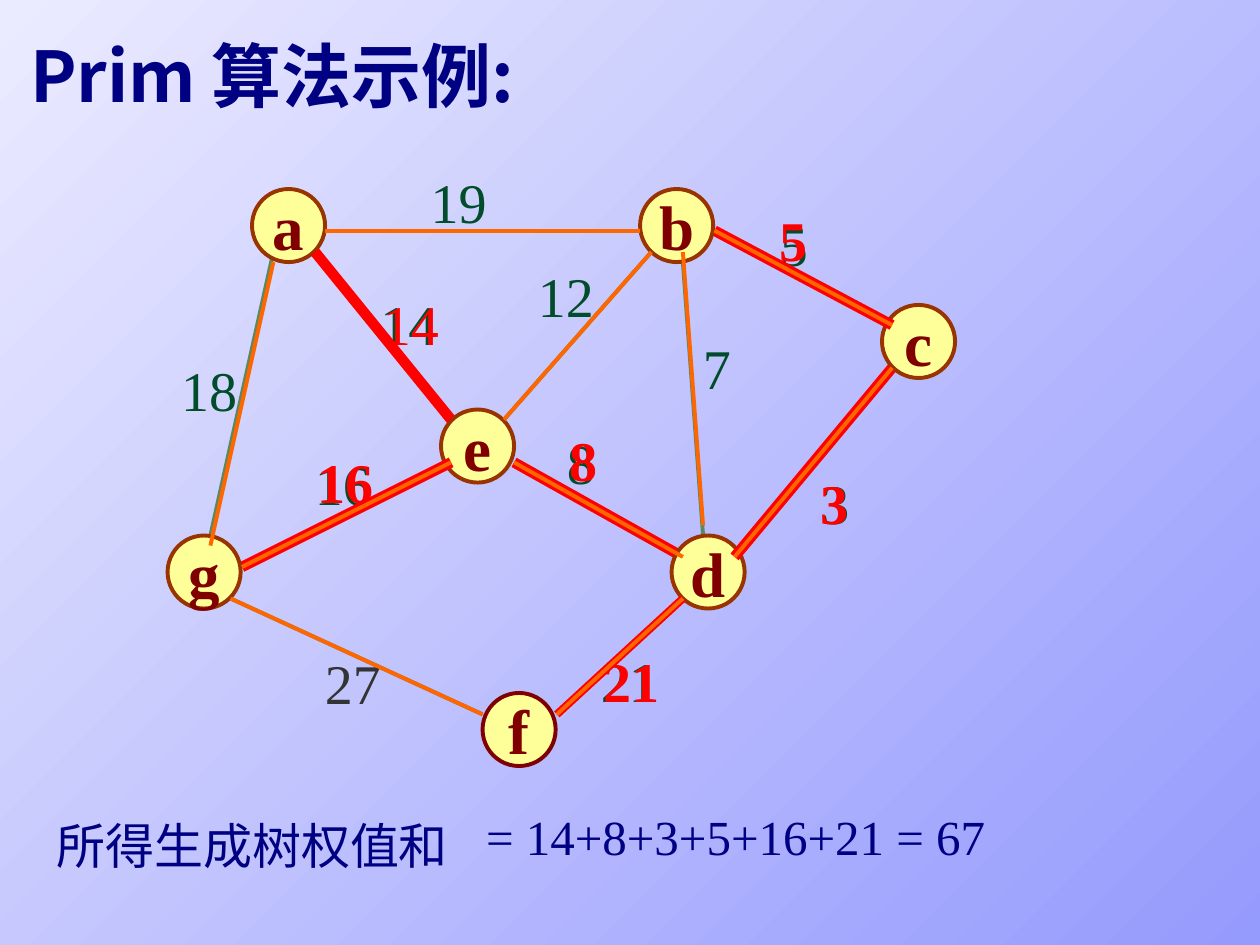
from lxml import etree
from pptx import Presentation
from pptx.dml.color import RGBColor
from pptx.enum import shapes, text
from pptx.oxml import ns
from pptx.util import Inches, Pt

SERIF, SANS = "Times New Roman", "Noto Sans CJK SC"
COLORS = {
    "light": "EBEBFF", "dark": "959AFD", "navy": "000082", "edge": "578963",
    "weight": "004C2B", "gray": "333333", "node": "FFFF99", "rim": "993300",
    "maroon": "800000", "tree": "FF0000", "orange": "FF6600",
}
NODE_SIZE = 0.58

TITLE = ("Prim 算法示例:", (0.14, 0.21, 4.69, 0.77))
CAPTIONS = [
    ("所得生成树权值和", (0.35, 6.42, 3.3, 0.57)),
    ("= 14+8+3+5+16+21 = 67", (3.76, 6.35, 4.16, 0.57)),
]
# edge: start, end, weight, label corner, label colour
EDGES = {
    "ab": ((2.58, 1.83), (5.08, 1.83), "19", (3.32, 1.28), "weight"),
    "ae": ((2.5, 2), (3.58, 3.33), "14", (2.92, 2.25), "weight"),
    "be": ((5.17, 2), (4, 3.33), "12", (4.17, 2.03), "weight"),
    "ag": ((2.17, 2), (1.67, 4.25), "18", (1.34, 2.77), "weight"),
    "ge": ((1.92, 4.5), (3.58, 3.67), "16", (2.4, 3.52), "weight"),
    "ed": ((4.08, 3.67), (5.42, 4.42), "8", (4.4, 3.35), "weight"),
    "bc": ((5.67, 1.83), (7.08, 2.58), "5", (6.09, 1.62), "weight"),
    "cd": ((7.08, 2.92), (5.83, 4.42), "3", (6.42, 3.67), "weight"),
    "bd": ((5.42, 2.08), (5.58, 4.25), "7", (5.48, 2.6), "weight"),
    "gf": ((1.83, 4.75), (3.83, 5.67), "27", (2.48, 5.1), "gray"),
    "df": ((5.42, 4.75), (4.42, 5.67), "21", (4.67, 5.08), "weight"),
}
# nodes in the order they join the tree: name, corner, rim, joining edge, its width
NODES = [
    ("a", (2, 1.5), "rim", None, 0),
    ("e", (3.5, 3.25), "rim", "ae", 6),
    ("d", (5.33, 4.25), "rim", "ed", 6),
    ("c", (7, 2.42), "rim", "cd", 6),
    ("b", (5.08, 1.5), "rim", "bc", 6),
    ("g", (1.33, 4.25), "rim", "ge", 6),
    ("f", (3.83, 5.5), "maroon", "df", 4.5),
]
# tree edge: label corner, bold
TREE_LABELS = {
    "ae": ((2.94, 2.25), False), "ed": ((4.42, 3.33), True),
    "bc": ((6.09, 1.58), True), "cd": ((6.41, 3.67), True),
    "ge": ((2.42, 3.5), True), "df": ((4.69, 5.08), True),
}
OVERLAY_SHIFT = {"ag": 0.08, "bd": -0.08}
OVERLAY_COLOR = {"ae": "tree"}


def rgb(name):
    return RGBColor.from_string(COLORS[name])


def write(shape, words, size, color, bold=False, font=SERIF, anchor=text.MSO_ANCHOR.TOP,
          align=text.PP_ALIGN.LEFT):
    frame = shape.text_frame
    frame.word_wrap = False
    frame.auto_size = text.MSO_AUTO_SIZE.NONE
    frame.vertical_anchor = anchor
    frame.margin_left = frame.margin_right = Inches(0.1)
    frame.margin_top = frame.margin_bottom = Inches(0.05)
    para = frame.paragraphs[0]
    para.text = words
    para.alignment = align
    para.font.size, para.font.bold, para.font.name = Pt(size), bold, font
    para.font.color.rgb = rgb(color)
    properties = para._p.pPr.find(ns.qn("a:defRPr"))
    etree.SubElement(properties, ns.qn("a:ea"), typeface=SANS)


def add_text(slide, words, place, size, color, bold=False):
    box = slide.shapes.add_textbox(*map(Inches, place))
    write(box, words, size, color, bold)


def add_weight(slide, words, corner, color, bold=False):
    add_text(slide, words, (*corner, 0.2 + 0.22 * len(words), 0.64), 32, color, bold)


def add_edge(slide, edge, color, width=2.25, shift=0):
    (x1, y1), (x2, y2) = EDGES[edge][:2]
    line = slide.shapes.add_connector(
        shapes.MSO_CONNECTOR.STRAIGHT,
        *map(Inches, (x1, y1 + shift, x2, y2 + shift)))
    line.line.color.rgb = rgb(color)
    line.line.width = Pt(width)
    etree.SubElement(line._element.spPr, ns.qn("a:effectLst"))


def add_node(slide, name, corner, rim):
    node = slide.shapes.add_shape(
        shapes.MSO_SHAPE.OVAL, *map(Inches, (*corner, NODE_SIZE, NODE_SIZE)))
    node.shadow.inherit = False
    node.fill.solid()
    node.fill.fore_color.rgb = rgb("node")
    node.line.color.rgb = rgb(rim)
    node.line.width = Pt(2.25)
    write(node, name, 36, "maroon", True, anchor=text.MSO_ANCHOR.MIDDLE,
          align=text.PP_ALIGN.CENTER)


def main():
    deck = Presentation()
    deck.slide_width, deck.slide_height = Inches(10), Inches(7.5)
    slide = deck.slides.add_slide(deck.slide_layouts[5])

    fill = slide.background.fill
    fill.gradient()
    fill.gradient_angle = 315
    for stop, position, color in zip(fill.gradient_stops, (0, 1), ("light", "dark")):
        stop.position = position
        stop.color.rgb = rgb(color)

    words, place = TITLE
    title = slide.shapes.title
    title.left, title.top, title.width, title.height = map(Inches, place)
    write(title, words, 40, "navy", True, SANS)

    for edge in EDGES:
        add_edge(slide, edge, "edge")
    for _, _, weight, corner, color in EDGES.values():
        add_weight(slide, weight, corner, color)
    for name, corner, rim, edge, width in NODES:
        if edge:
            add_edge(slide, edge, "tree", width)
        add_node(slide, name, corner, rim)
    for edge, (corner, bold) in TREE_LABELS.items():
        add_weight(slide, EDGES[edge][2], corner, "tree", bold)
    for words, place in CAPTIONS:
        add_text(slide, words, place, 28, "navy")
    for edge in EDGES:
        add_edge(slide, edge, OVERLAY_COLOR.get(edge, "orange"),
                 shift=OVERLAY_SHIFT.get(edge, 0))

    deck.save("out.pptx")


if __name__ == "__main__":
    main()
